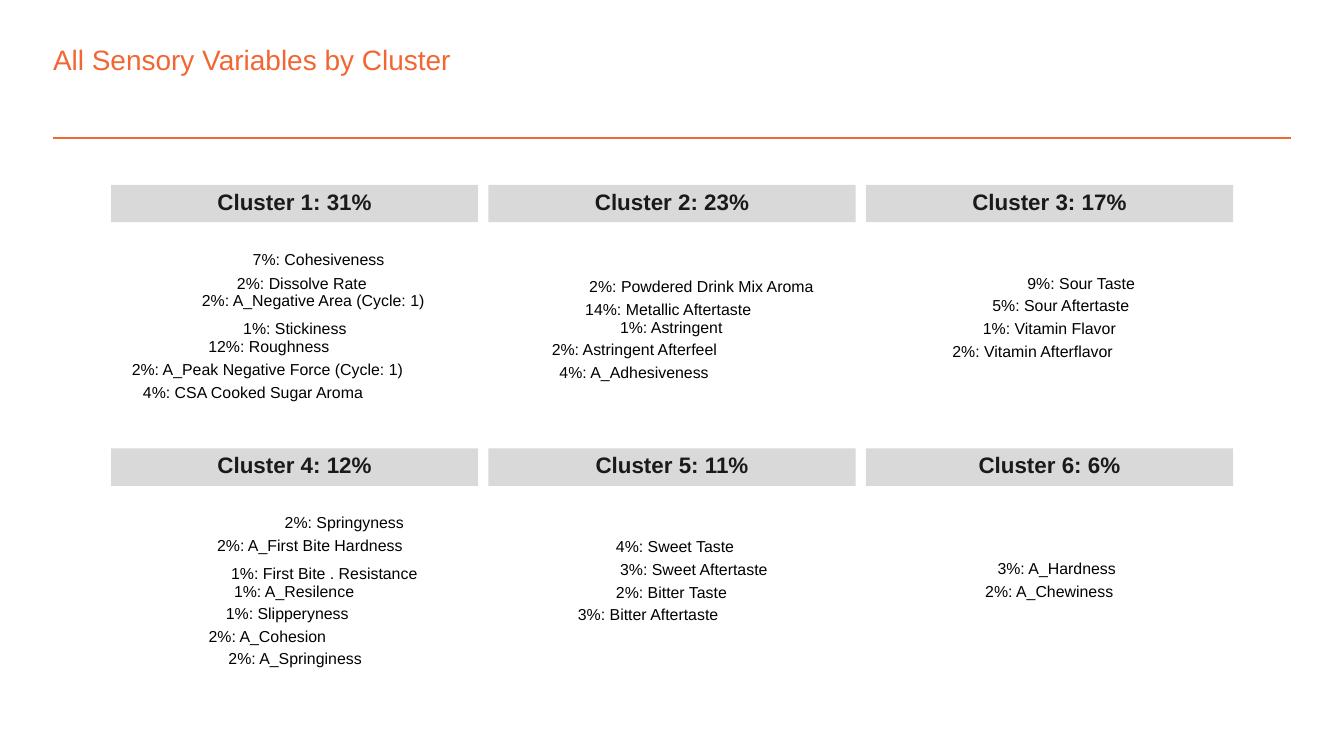
import pptx
import pptx.dml.color
import pptx.enum.shapes
import pptx.enum.text
import pptx.oxml.ns
import pptx.util
from lxml import etree

Pt = pptx.util.Pt
RGBColor = pptx.dml.color.RGBColor
RECTANGLE = pptx.enum.shapes.MSO_SHAPE.RECTANGLE
ALIGN = pptx.enum.text.PP_ALIGN
ANCHOR = pptx.enum.text.MSO_ANCHOR

ORANGE = RGBColor(0xF3, 0x66, 0x33)
WHITE = RGBColor(0xFF, 0xFF, 0xFF)
GREY = RGBColor(0xD9, 0xD9, 0xD9)
DARK = RGBColor(0x1A, 0x1A, 0x1A)
BLACK = RGBColor(0x00, 0x00, 0x00)

# Each cluster: heading, then its variables as (text, left, middle, text width).
CLUSTERS = [
    ("Cluster 1: 31%", [
        ("7%: Cohesiveness", 135.4, 139.8, 70.6),
        ("2%: Dissolve Rate", 127, 152.3, 69.8),
        ("2%: A_Negative Area (Cycle: 1)", 108.2, 161.9, 120.2),
        ("1%: Stickiness", 130.3, 176.8, 55.4),
        ("12%: Roughness", 111.6, 186.3, 64.8),
        ("2%: A_Peak Negative Force (Cycle: 1)", 70.6, 198.4, 146.2),
        ("4%: CSA Cooked Sugar Aroma", 76.6, 211, 118.8),
    ]),
    ("Cluster 2: 23%", [
        ("2%: Powdered Drink Mix Aroma", 315.7, 154.4, 121),
        ("14%: Metallic Aftertaste", 313.5, 166.7, 90),
        ("1%: Astringent", 332.2, 176, 55.4),
        ("2%: Astringent Afterfeel", 295.6, 188, 90),
        ("4%: A_Adhesiveness", 299.7, 200.1, 80.6),
    ]),
    ("Cluster 3: 17%", [
        ("9%: Sour Taste", 550.4, 152.3, 59),
        ("5%: Sour Aftertaste", 531.6, 164.5, 74.2),
        ("1%: Vitamin Flavor", 526.5, 176.8, 71.3),
        ("2%: Vitamin Afterflavor", 510.2, 189, 87.1),
    ]),
    ("Cluster 4: 12%", [
        ("2%: Springyness", 152.5, 280.4, 64.1),
        ("2%: A_First Bite Hardness", 116.3, 293.1, 100.1),
        ("1%: First Bite . Resistance", 123.8, 307.8, 100.1),
        ("1%: A_Resilence", 125.4, 317.5, 64.8),
        ("1%: Slipperyness", 121, 329.4, 66.2),
        ("2%: A_Cohesion", 111.8, 341.6, 63.4),
        ("2%: A_Springiness", 122.4, 353.6, 72),
    ]),
    ("Cluster 5: 11%", [
        ("4%: Sweet Taste", 330, 293.4, 64.8),
        ("3%: Sweet Aftertaste", 332.2, 305.6, 79.9),
        ("2%: Bitter Taste", 330, 317.9, 60.5),
        ("3%: Bitter Aftertaste", 309.6, 330.1, 75.6),
    ]),
    ("Cluster 6: 6%", [
        ("3%: A_Hardness", 534.4, 305.2, 64.1),
        ("2%: A_Chewiness", 527.8, 317.5, 69.1),
    ]),
]
COLUMNS = 3
HEADING_WIDTH, HEADING_HEIGHT = 196.7, 20
COLUMN_STEP, ROW_STEP = 202.2, 141.2
LABEL_HEIGHT = 8
LABEL_SLACK = 3  # spare width that keeps each label on one line


def write(shape, text, size, color, align, anchor=ANCHOR.MIDDLE, bold=False):
    """Put one line of unwrapped text, without margins, in a shape."""
    frame = shape.text_frame
    frame.margin_left = frame.margin_right = Pt(0)
    frame.margin_top = frame.margin_bottom = Pt(0)
    frame.word_wrap = False
    frame.vertical_anchor = anchor
    para = frame.paragraphs[0]
    para.alignment = align
    para.line_spacing = Pt(size)
    span = para.add_run()
    span.text = text
    span.font.name = "Arial"
    span.font.size = Pt(size)
    span.font.bold = bold
    span.font.color.rgb = color


def add_rectangle(left, top, width, height, fill):
    box = page.shapes.add_shape(RECTANGLE, Pt(left), Pt(top), Pt(width), Pt(height))
    box.shadow.inherit = False
    box.fill.solid()
    box.fill.fore_color.rgb = fill
    box.line.fill.background()
    return box


deck = pptx.Presentation()
deck.slide_width = Pt(720)
deck.slide_height = Pt(405)
page = deck.slides.add_slide(deck.slide_layouts[5])

# Title and rule
title = page.shapes.title
title.left, title.top, title.width, title.height = Pt(28.4), Pt(23), Pt(597), Pt(18)
write(title, "All Sensory Variables by Cluster", 15, ORANGE, ALIGN.LEFT, ANCHOR.TOP)
title.text_frame.word_wrap = True
title.text_frame.paragraphs[0].line_spacing = 1.0

rule = page.shapes.add_connector(
    pptx.enum.shapes.MSO_CONNECTOR.STRAIGHT, Pt(28.4), Pt(74), Pt(691.6), Pt(74))
rule.line.color.rgb = ORANGE
rule.line.width = Pt(1)
etree.SubElement(rule._element.spPr, pptx.oxml.ns.qn("a:effectLst"))

# Chart area
panel = add_rectangle(54, 93.6, 612, 306, WHITE)
panel.line.color.rgb = WHITE
panel.line.width = Pt(0.75)

# Clusters
for index, (heading, variables) in enumerate(CLUSTERS):
    row, column = divmod(index, COLUMNS)
    bar = add_rectangle(59.5 + column * COLUMN_STEP, 99.1 + row * ROW_STEP,
                        HEADING_WIDTH, HEADING_HEIGHT, GREY)
    write(bar, heading, 12, DARK, ALIGN.CENTER, bold=True)
    for text, left, middle, width in variables:
        label = page.shapes.add_textbox(
            Pt(left), Pt(middle - LABEL_HEIGHT / 2),
            Pt(width + LABEL_SLACK), Pt(LABEL_HEIGHT))
        write(label, text, 8.5, BLACK, ALIGN.LEFT)

deck.save("out.pptx")
